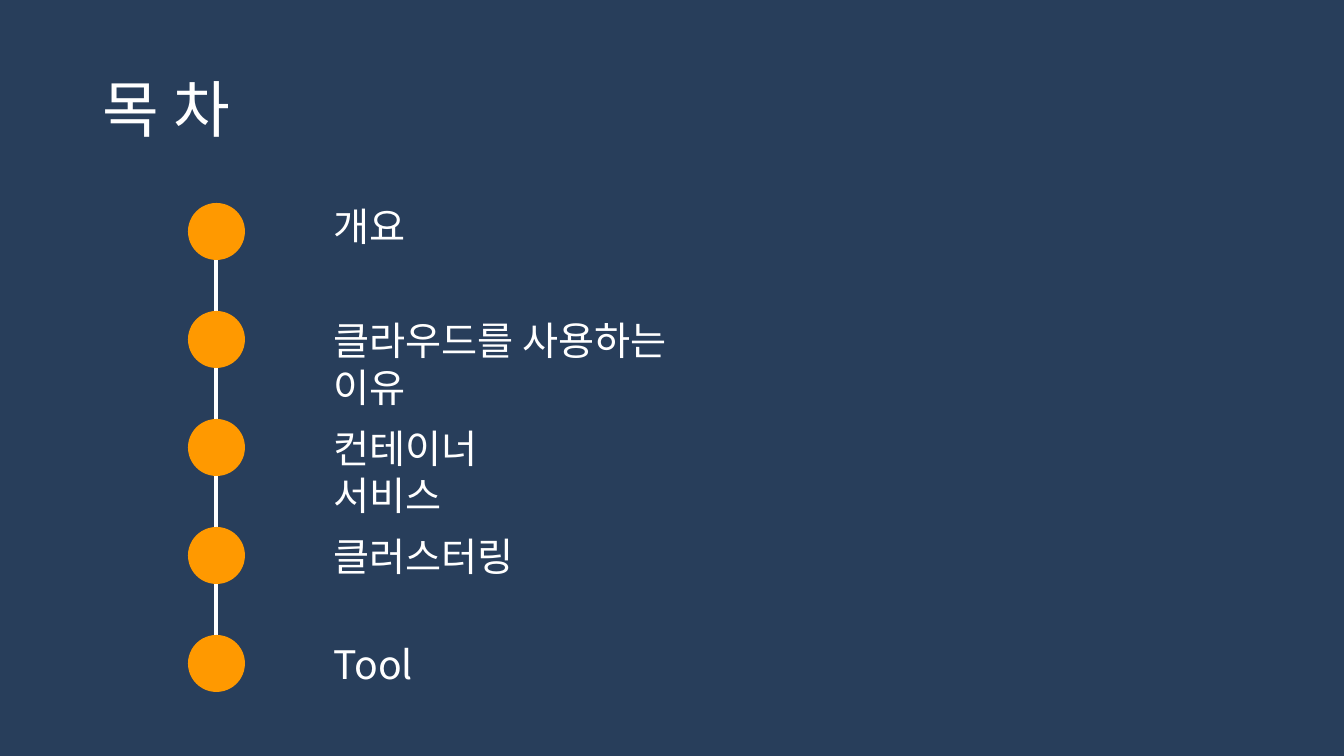
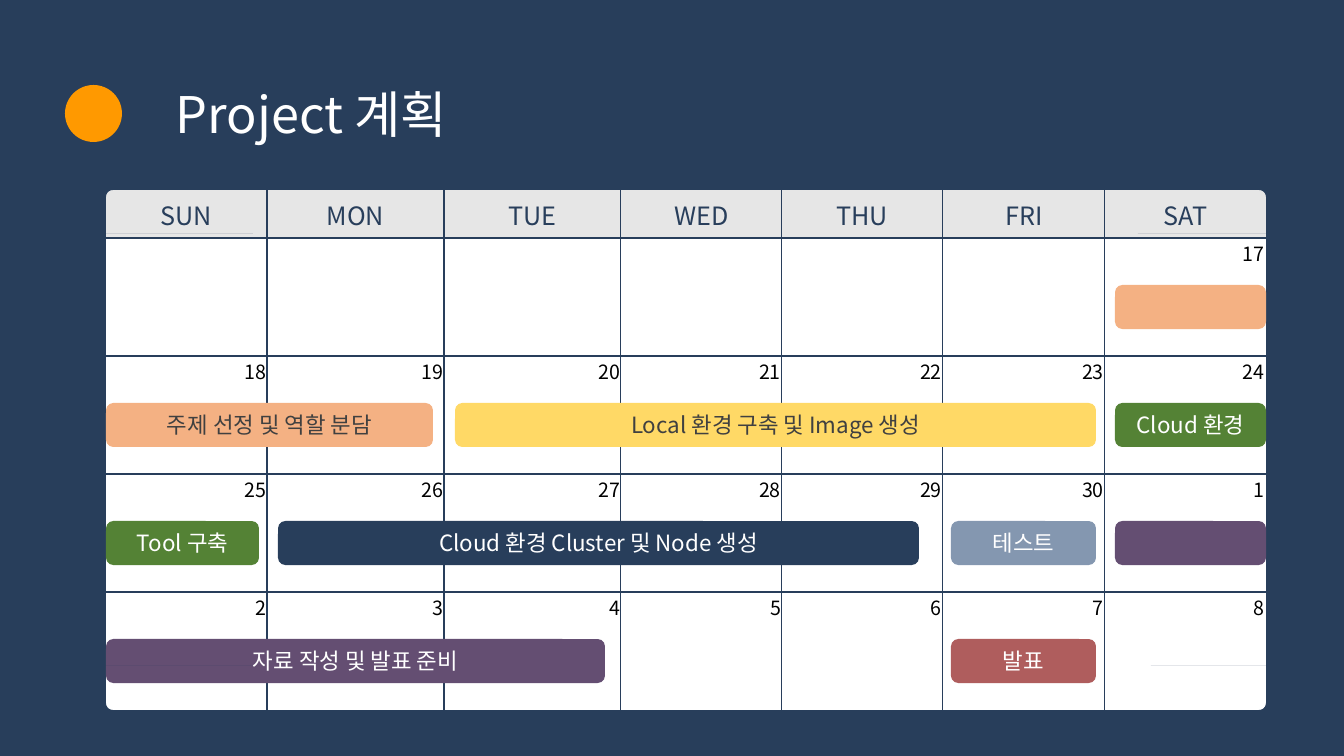
"""Build a contents slide and a project calendar slide."""
import math

from lxml import etree
from pptx import Presentation
from pptx import util as u
from pptx.dml.color import RGBColor
from pptx.enum import shapes, text
from pptx.oxml import ns

PX = 9071
FONT = "Noto Sans CJK KR"
NAVY, ORANGE, WHITE = "283E5B", "FF9900", "FFFFFF"
PEACH, YELLOW, GREEN = "F4B183", "FFD966", "548235"
BLUE_GREY, RED, PURPLE = "8497B0", "AF5D5D", "644E72"
HEADER_GREY, DARK_GREY, BLACK = "E6E6E6", "404040", "000000"
DOT = 57


def paint(fill, color):
    """Make a fill solid in the given hex colour."""
    fill.solid()
    fill.fore_color.rgb = RGBColor.from_string(color)


def write(frame, words, size, color, align=text.PP_ALIGN.LEFT):
    """Write one run into the first paragraph of a frame and return the paragraph."""
    frame.word_wrap = True
    paragraph = frame.paragraphs[0]
    paragraph.alignment = align
    run = paragraph.add_run()
    run.text = words
    run.font.size = u.Pt(size)
    run.font.name = FONT
    paint(run.font.fill, color)
    east_asian = etree.SubElement(run.font._element, ns.qn("a:ea"))
    east_asian.set("typeface", FONT)
    return paragraph


presentation = Presentation()
presentation.slide_width = 1344 * PX
presentation.slide_height = 756 * PX
paint(presentation.slide_master.background.fill, NAVY)
blank = presentation.slide_layouts[6]
contents = presentation.slides.add_slide(blank)
calendar = presentation.slides.add_slide(blank)

line = contents.shapes.add_connector(
    shapes.MSO_CONNECTOR.STRAIGHT, 216 * PX, 229 * PX, 216 * PX, 663 * PX)
line.line.width = u.Pt(3.25)
paint(line.line.fill, WHITE)
etree.SubElement(line._element.spPr, ns.qn("a:effectLst"))

title = contents.shapes.add_textbox(93 * PX, 40 * PX, 1159 * PX, 146 * PX)
title.text_frame.vertical_anchor = text.MSO_ANCHOR.MIDDLE
write(title.text_frame, "목 차", 44, WHITE).line_spacing = 0.9

topics = [("개요", 412), ("클라우드를 사용하는 이유", 418), ("컨테이너 서비스", 279),
          ("클러스터링", 245), ("Tool", 245)]
dots = [(contents, 188, 203 + 108 * index) for index in range(len(topics))]
dots.append((calendar, 65, 85))
for slide, left, top in dots:
    dot = slide.shapes.add_shape(
        shapes.MSO_SHAPE.OVAL, left * PX, top * PX, DOT * PX, DOT * PX)
    dot.shadow.inherit = False
    paint(dot.fill, ORANGE)
    dot.line.fill.background()

for index, (topic, width) in enumerate(topics):
    box = contents.shapes.add_textbox(
        324 * PX, (203 + 108 * index) * PX, width * PX, 57 * PX)
    paragraph = write(box.text_frame, topic, 28, WHITE)
    if index == 0:
        paragraph.line_spacing = 0.9
        paragraph.space_before = u.Pt(10)

heading = calendar.shapes.add_textbox(166 * PX, 85 * PX, 479 * PX, 56 * PX)
paragraph = write(heading.text_frame, "Project 계획", 36, WHITE)
paragraph.line_spacing = 0.9
paragraph.space_before = u.Pt(10)

LEFT, TOP, HEADER, WEEK = 106, 190, 48, 118
widths = [161, 177, 177, 161, 161, 162, 161]
days = ["SUN", "MON", "TUE", "WED", "THU", "FRI", "SAT"]
weeks = [[""] * 6 + ["17"]]
weeks += [[str((date - 1) % 30 + 1) for date in range(start, start + 7)]
          for start in (18, 25, 32)]
RIGHT, BOTTOM = LEFT + sum(widths), TOP + HEADER + WEEK * len(weeks)

frame = calendar.shapes.add_table(
    1 + len(weeks), len(days), LEFT * PX, TOP * PX,
    (RIGHT - LEFT) * PX, (BOTTOM - TOP) * PX)
table = frame.table
for column, width in zip(table.columns, widths):
    column.width = width * PX
for row, values in enumerate([days] + weeks):
    table.rows[row].height = (WEEK if row else HEADER) * PX
    for column, value in enumerate(values):
        cell = table.cell(row, column)
        cell.margin_left = cell.margin_right = cell.margin_top = PX
        cell.margin_bottom = 0
        inner = {"L": column > 0, "R": column < len(days) - 1,
                 "T": row > 0, "B": row < len(weeks)}
        properties = cell._tc.get_or_add_tcPr()
        for side, visible in inner.items():
            border = etree.SubElement(properties, ns.qn("a:ln" + side))
            border.set("w", str(u.Pt(1)))
            if visible:
                solid = etree.SubElement(border, ns.qn("a:solidFill"))
                etree.SubElement(solid, ns.qn("a:srgbClr")).set("val", NAVY)
            else:
                etree.SubElement(border, ns.qn("a:noFill"))
        paint(cell.fill, WHITE if row else HEADER_GREY)
        if row == 0:
            cell.vertical_anchor = text.MSO_ANCHOR.MIDDLE
            write(cell.text_frame, value, 18, NAVY, text.PP_ALIGN.CENTER)
        elif value:
            write(cell.text_frame, value, 14, BLACK, text.PP_ALIGN.RIGHT)

tasks = [
    (0, 1115, RIGHT, PEACH, "", DARK_GREY),
    (1, LEFT, 433, PEACH, "주제 선정 및 역할 분담", DARK_GREY),
    (1, 455, 1096, YELLOW, "Local 환경 구축 및 Image 생성", DARK_GREY),
    (1, 1115, RIGHT, GREEN, "Cloud 환경", WHITE),
    (2, LEFT, 259, GREEN, "Tool 구축", WHITE),
    (2, 278, 919, NAVY, "Cloud 환경 Cluster 및 Node 생성", WHITE),
    (2, 951, 1096, BLUE_GREY, "테스트", WHITE),
    (2, 1115, RIGHT, PURPLE, "", WHITE),
    (3, LEFT, 605, PURPLE, "자료 작성 및 발표 준비", WHITE),
    (3, 951, 1096, RED, "발표", WHITE),
]
for week, start, end, color, words, text_color in tasks:
    bar = calendar.shapes.add_shape(
        shapes.MSO_SHAPE.ROUNDED_RECTANGLE, start * PX,
        (TOP + HEADER + WEEK * week + 47) * PX, (end - start) * PX, 44 * PX)
    bar.shadow.inherit = False
    paint(bar.fill, color)
    bar.line.fill.background()
    if words:
        bar.text_frame.vertical_anchor = text.MSO_ANCHOR.MIDDLE
        write(bar.text_frame, words, 16, text_color, text.PP_ALIGN.CENTER)

RADIUS = 7
corners = [(LEFT, TOP, 1, 1, 147), (RIGHT, TOP, -1, 1, 128),
           (LEFT, BOTTOM, 1, -1, 147), (RIGHT, BOTTOM, -1, -1, 115)]
for x, y, across, down, hairline in corners:
    arc = []
    for step in range(7):
        angle = math.radians(15 * step)
        arc.append((round((x + across * RADIUS * (1 - math.sin(angle))) * PX),
                    round((y + down * RADIUS * (1 - math.cos(angle))) * PX)))
    builder = calendar.shapes.build_freeform(x * PX, y * PX)
    builder.add_line_segments(arc)
    hairline_y = (y + down * 44) * PX
    builder.move_to(x * PX, hairline_y)
    builder.add_line_segments([((x + across * hairline) * PX, hairline_y)])
    corner = builder.convert_to_shape()
    corner.shadow.inherit = False
    paint(corner.fill, NAVY)
    corner.line.fill.background()

presentation.save("out.pptx")
